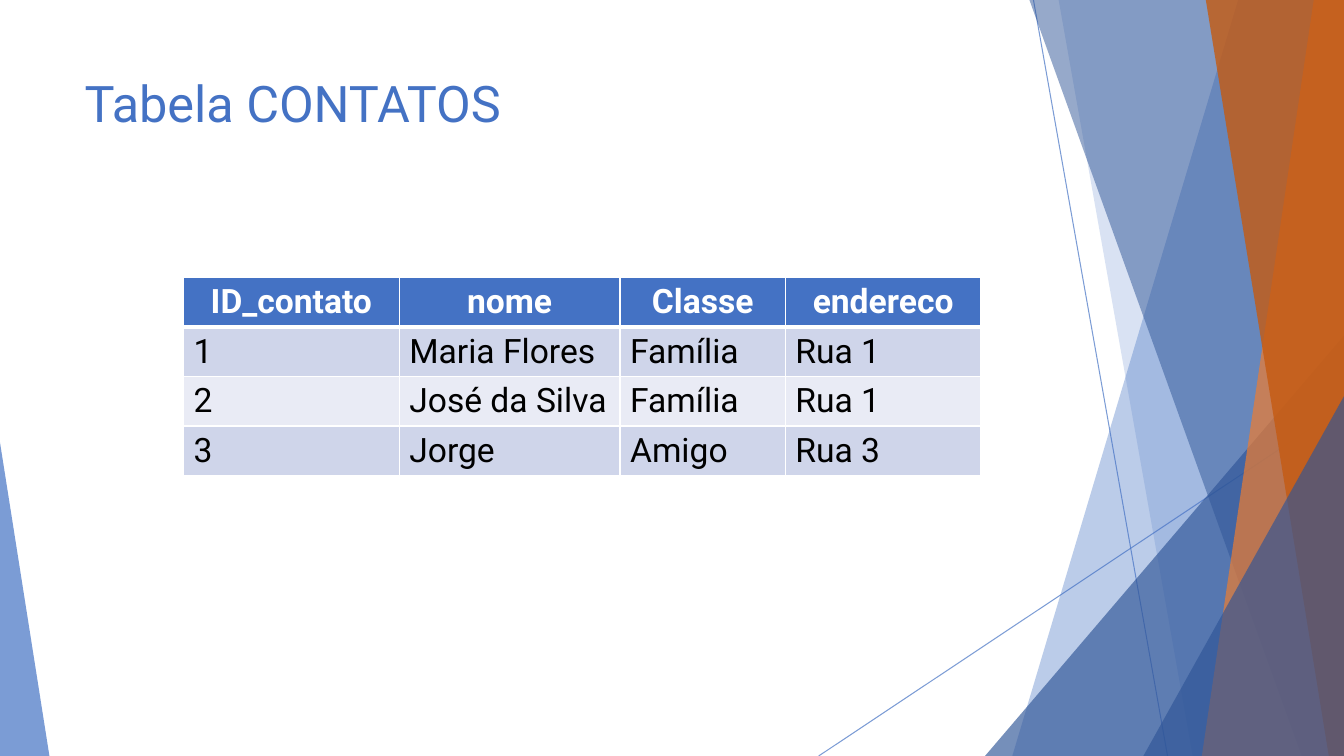
from pptx import Presentation
from pptx.dml.color import RGBColor
from pptx.enum.shapes import MSO_CONNECTOR, MSO_SHAPE
from pptx.enum.text import MSO_ANCHOR, PP_ALIGN
from pptx.oxml.ns import qn
from pptx.util import Inches, Pt
from lxml.etree import SubElement

BLUE = RGBColor(0x44, 0x72, 0xC4)
DARK_BLUE = RGBColor(0x2F, 0x55, 0x97)
ORANGE = RGBColor(0xED, 0x7D, 0x31)
DARK_ORANGE = RGBColor(0xC5, 0x5A, 0x11)
LIGHT_ROW = RGBColor(0xE9, 0xEB, 0xF5)
SHADED_ROW = RGBColor(0xCF, 0xD5, 0xEA)
WHITE = RGBColor(0xFF, 0xFF, 0xFF)
BLACK = RGBColor(0x00, 0x00, 0x00)
FONT = "Roboto"
WIDTH, HEIGHT = 13.33, 7.5


def set_opacity(shape, percent):
    for color in shape._element.spPr.iter(qn("a:srgbClr")):
        SubElement(color, qn("a:alpha")).set("val", str(percent * 1000))


def set_borders(cell, bottom_width):
    properties = cell._tc.get_or_add_tcPr()
    for side, width in (("L", 1), ("R", 1), ("T", 1), ("B", bottom_width)):
        border = SubElement(properties, qn("a:ln" + side), w=str(Pt(width)))
        fill = SubElement(border, qn("a:solidFill"))
        SubElement(fill, qn("a:srgbClr"), val=str(WHITE))


deck = Presentation()
deck.slide_width = Inches(WIDTH)
deck.slide_height = Inches(HEIGHT)
slide = deck.slides.add_slide(deck.slide_layouts[6])
shapes = slide.shapes

for ends in ((10.25, 0, 11.58, HEIGHT), (WIDTH, 4.03, 8.12, HEIGHT)):
    line = shapes.add_connector(MSO_CONNECTOR.STRAIGHT, *[Inches(value) for value in ends])
    line.line.color.rgb = BLUE
    line.line.width = Pt(0.75)
    set_opacity(line, 70)
    SubElement(line._element.spPr, qn("a:effectLst"))

facets = [
    ("band", (12.28, 10.04), BLUE, 36),
    ("band", (10.5, 11.83), BLUE, 20),
    ("triangle", (9.77, 3.33, 3.56, 1), DARK_BLUE, 66),
    ("band", (10.21, 12.91), DARK_BLUE, 50),
    ("band", (13.03, 11.92), ORANGE, 70),
    ("band", (11.96, 13.18), DARK_ORANGE, 80),
    ("triangle", (11.34, 3.93, 1.99, 1), DARK_BLUE, 66),
    ("triangle", (0, 4.39, 0.49, 0), BLUE, 70),
]
for kind, geometry, color, opacity in facets:
    if kind == "band":
        top_left, bottom_left = geometry
        outline = shapes.build_freeform(Inches(top_left), 0)
        corners = [(WIDTH, 0), (WIDTH, HEIGHT), (bottom_left, HEIGHT)]
        outline.add_line_segments([(Inches(x), Inches(y)) for x, y in corners])
        facet = outline.convert_to_shape()
    else:
        left, top, width, apex = geometry
        facet = shapes.add_shape(
            MSO_SHAPE.ISOSCELES_TRIANGLE,
            Inches(left), Inches(top), Inches(width), Inches(HEIGHT - top),
        )
        facet.adjustments[0] = apex
    facet.fill.solid()
    facet.fill.fore_color.rgb = color
    facet.line.fill.background()
    facet.shadow.inherit = False
    set_opacity(facet, opacity)

rows = [
    ("ID_contato", "nome", "Classe", "endereco"),
    ("1", "Maria Flores", "Família", "Rua 1"),
    ("2", "José da Silva", "Família", "Rua 1"),
    ("3", "Jorge", "Amigo", "Rua 3"),
]
column_widths = (2.14, 2.19, 1.64, 1.94)
row_height = 0.49
contacts = shapes.add_table(
    len(rows), len(column_widths), Inches(1.82), Inches(2.75),
    Inches(sum(column_widths)), Inches(row_height * len(rows)),
).table
for column, width in zip(contacts.columns, column_widths):
    column.width = Inches(width)
for row_index, values in enumerate(rows):
    contacts.rows[row_index].height = Inches(row_height)
    header = row_index == 0
    row_fill = BLUE if header else SHADED_ROW if row_index % 2 else LIGHT_ROW
    for column_index, value in enumerate(values):
        cell = contacts.cell(row_index, column_index)
        set_borders(cell, 3 if header else 1)
        cell.fill.solid()
        cell.fill.fore_color.rgb = row_fill
        cell.text_frame.text = value
        para = cell.text_frame.paragraphs[0]
        para.alignment = PP_ALIGN.CENTER if header else PP_ALIGN.LEFT
        font = para.runs[0].font
        font.name = FONT
        font.size = Pt(24)
        font.bold = header
        font.color.rgb = WHITE if header else BLACK

title = shapes.add_textbox(Inches(0.74), Inches(0.67), Inches(9.4), Inches(1.44))
title.text_frame.word_wrap = True
title.text_frame.vertical_anchor = MSO_ANCHOR.TOP
title.text_frame.text = "Tabela CONTATOS"
title_font = title.text_frame.paragraphs[0].runs[0].font
title_font.name = FONT
title_font.size = Pt(36)
title_font.color.rgb = BLUE

deck.save("out.pptx")
